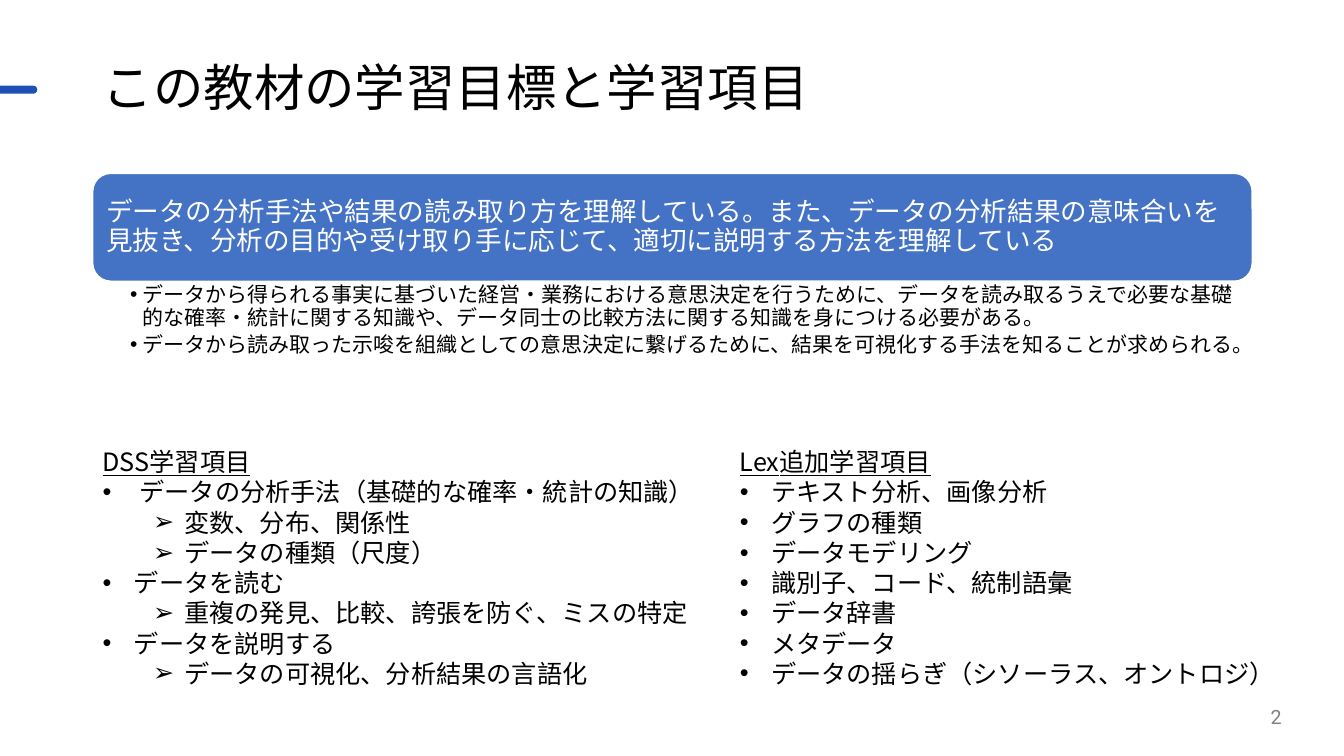
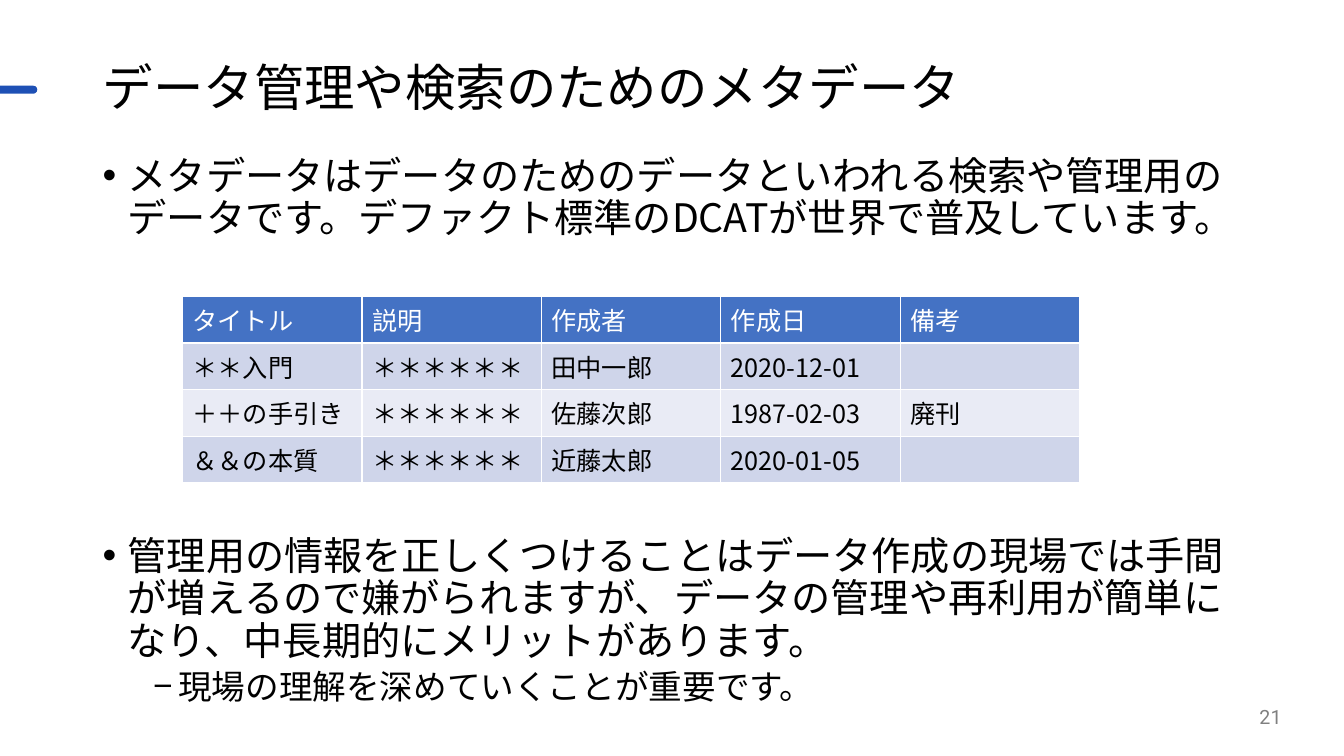
from pptx import Presentation
from pptx import util as u
from pptx.dml.color import RGBColor
from pptx.enum import shapes, text
from pptx.oxml import ns
from lxml import etree

PX = 9144  # EMU in one px, 100 px to the inch
SANS, TITLE_FONT = "Noto Sans CJK JP", "Roboto"
COLORS = {
    "text": "000000", "white": "FFFFFF", "muted": "808080",
    "panel": "4472C4", "accent": "1E50B5",
    "odd_row": "CFD5EA", "even_row": "E9EBF5",
}
LEFT, WIDTH = 92, 1150
NATURAL_LEADING = 1.2


def px(*lengths):
    return [u.Emu(n * PX) for n in lengths]


def rgb(name):
    return RGBColor.from_string(COLORS[name])


def add_xml(parent, tag, **attributes):
    return etree.SubElement(parent, ns.qn(tag), attributes)


def write(paragraph, content, size=18, color="text", font=SANS, underline=False,
          align=text.PP_ALIGN.LEFT, leading=None, before=0, after=0,
          bullet=None, margin=0, hang=0):
    """Put text in a paragraph; margin and hang are px, the rest points."""
    paragraph.alignment = align
    paragraph.space_before, paragraph.space_after = u.Pt(before), u.Pt(after)
    if leading:
        paragraph.line_spacing = u.Pt(round(size * NATURAL_LEADING * leading, 1))
    props = paragraph._p.get_or_add_pPr()
    props.set("marL", str(margin * PX))
    props.set("indent", str(-hang * PX))
    if bullet:
        add_xml(props, "a:buFont", typeface="Arial")
        add_xml(props, "a:buChar", char=bullet)
    run = paragraph.add_run()
    run.text = content
    run.font.size, run.font.name = u.Pt(size), font
    run.font.color.rgb = rgb(color)
    run.font.underline = underline
    add_xml(run._r.get_or_add_rPr(), "a:ea", typeface=SANS)


class Deck:
    """The shared style and the slide being built."""

    def __init__(self):
        self.prs = Presentation()
        self.prs.slide_width, self.prs.slide_height = px(1333, 750)
        self.slide = None

    def start(self, title, number):
        self.slide = self.prs.slides.add_slide(self.prs.slide_layouts[5])
        # Accent bar
        self.shape("ROUNDED_RECTANGLE", (-10, 85, 47, 8), "accent").adjustments[0] = 0.5
        # Title and page number
        heading = self.slide.shapes.title
        heading.left, heading.top, heading.width, heading.height = px(LEFT, 57, WIDTH, 65)
        self.fill_frame(heading, [(title, dict(size=36, font=TITLE_FONT))], middle=True)
        heading.text_frame.paragraphs[0].line_spacing = 0.9
        self.box((981, 691, 300, 40), [(str(number), dict(
            size=14, color="muted", font=TITLE_FONT, align=text.PP_ALIGN.RIGHT))],
            middle=True)

    def fill_frame(self, holder, lines, middle=False, insets=(10, 5, 10, 5)):
        frame = holder.text_frame
        frame.word_wrap, frame.auto_size = True, text.MSO_AUTO_SIZE.NONE
        frame.vertical_anchor = text.MSO_ANCHOR.MIDDLE if middle else text.MSO_ANCHOR.TOP
        (frame.margin_left, frame.margin_top,
         frame.margin_right, frame.margin_bottom) = px(*insets)
        for i, (content, style) in enumerate(lines):
            paragraph = frame.add_paragraph() if i else frame.paragraphs[0]
            write(paragraph, content, **style)

    def box(self, at, lines, **layout):
        self.fill_frame(self.slide.shapes.add_textbox(*px(*at)), lines, **layout)

    def shape(self, kind, at, fill):
        shape = self.slide.shapes.add_shape(getattr(shapes.MSO_SHAPE, kind), *px(*at))
        shape.shadow.inherit = False
        shape.fill.solid()
        shape.fill.fore_color.rgb = rgb(fill)
        shape.line.fill.background()
        return shape

    def panel(self, at, content, **style):
        panel = self.shape("ROUNDED_RECTANGLE", at, "panel")
        panel.line.color.rgb, panel.line.width = rgb("white"), u.Pt(1)
        self.fill_frame(panel, [(content, style)], middle=True, insets=(8, 8, 8, 8))

    def table(self, left, top, column_width, row_height, rows):
        columns = len(rows[0])
        frame = self.slide.shapes.add_table(len(rows), columns, *px(
            left, top, column_width * columns, row_height * len(rows)))
        for row in frame.table.rows:
            row.height = u.Emu(row_height * PX)
        for r, row in enumerate(rows):
            fill = "panel" if r == 0 else "odd_row" if r % 2 else "even_row"
            for c, content in enumerate(row):
                cell = frame.table.cell(r, c)
                self.cell_borders(cell)
                cell.fill.solid()
                cell.fill.fore_color.rgb = rgb(fill)
                cell.vertical_anchor = text.MSO_ANCHOR.MIDDLE
                if content:
                    write(cell.text_frame.paragraphs[0], content,
                          color="text" if r else "white")

    def cell_borders(self, cell):
        props = cell._tc.get_or_add_tcPr()
        for side in "LRTB":
            line = add_xml(props, f"a:ln{side}", w=str(u.Pt(1)))
            add_xml(add_xml(line, "a:solidFill"), "a:srgbClr", val=COLORS["white"])


def learning_goals(deck):
    deck.start("この教材の学習目標と学習項目", 2)

    # Goal and its background
    deck.panel((LEFT, 172, WIDTH, 107),
               "データの分析手法や結果の読み取り方を理解している。また、データの分析結果の意味合いを"
               "見抜き、分析の目的や受け取り手に応じて、適切に説明する方法を理解している",
               size=19, color="white", leading=0.9)
    reason = dict(size=15, leading=0.9, after=3, bullet="•", margin=12, hang=12)
    deck.box((LEFT, 279, WIDTH, 108), [
        ("データから得られる事実に基づいた経営・業務における意思決定を行うために、データを読み取るうえで必要な基礎"
         "的な確率・統計に関する知識や、データ同士の比較方法に関する知識を身につける必要がある。", reason),
        ("データから読み取った示唆を組織としての意思決定に繋げるために、結果を可視化する手法を知ることが求められる。",
         reason),
    ], insets=(37, 3, 15, 3))

    # Two lists of topics
    heading = dict(underline=True, leading=1)
    topic = dict(leading=1, bullet="•", margin=31, hang=31)
    subtopic = dict(leading=1, bullet="➢", margin=81, hang=31)
    deck.box((LEFT, 438, 636, 252), [
        ("DSS学習項目", heading),
        (" データの分析手法（基礎的な確率・統計の知識）", topic),
        ("変数、分布、関係性", subtopic),
        ("データの種類（尺度）", subtopic),
        ("データを読む", topic),
        ("重複の発見、比較、誇張を防ぐ、ミスの特定", subtopic),
        ("データを説明する", topic),
        ("データの可視化、分析結果の言語化", subtopic),
    ])
    extra_topics = ["テキスト分析、画像分析", "グラフの種類", "データモデリング",
                    "識別子、コード、統制語彙", "データ辞書", "メタデータ",
                    "データの揺らぎ（シソーラス、オントロジ）"]
    deck.box((724, 438, 570, 252),
             [("Lex追加学習項目", heading)] + [(name, topic) for name in extra_topics])


def metadata(deck):
    deck.start("データ管理や検索のためのメタデータ", 21)
    point = dict(size=28, leading=0.9, bullet="•", margin=25, hang=25)
    detail = dict(size=24, leading=0.9, before=5, bullet="−", margin=75, hang=25)

    # What metadata is
    deck.box((LEFT, 150, WIDTH, 100), [
        ("メタデータはデータのためのデータといわれる検索や管理用の"
         "データです。デファクト標準のDCATが世界で普及しています。", point)])

    # Sample catalogue
    deck.table(181, 294, 178, 46, [
        ["タイトル", "説明", "作成者", "作成日", "備考"],
        ["＊＊入門", "＊＊＊＊＊＊", "田中一郎", "2020-12-01", ""],
        ["＋＋の手引き", "＊＊＊＊＊＊", "佐藤次郎", "1987-02-03", "廃刊"],
        ["＆＆の本質", "＊＊＊＊＊＊", "近藤太郎", "2020-01-05", ""],
    ])

    # Why it pays off
    deck.box((LEFT, 527, WIDTH, 180), [
        ("管理用の情報を正しくつけることはデータ作成の現場では手間"
         "が増えるので嫌がられますが、データの管理や再利用が簡単に"
         "なり、中長期的にメリットがあります。", point),
        ("現場の理解を深めていくことが重要です。", detail),
    ])


def main():
    deck = Deck()
    learning_goals(deck)
    metadata(deck)
    deck.prs.save("out.pptx")


if __name__ == "__main__":
    main()
